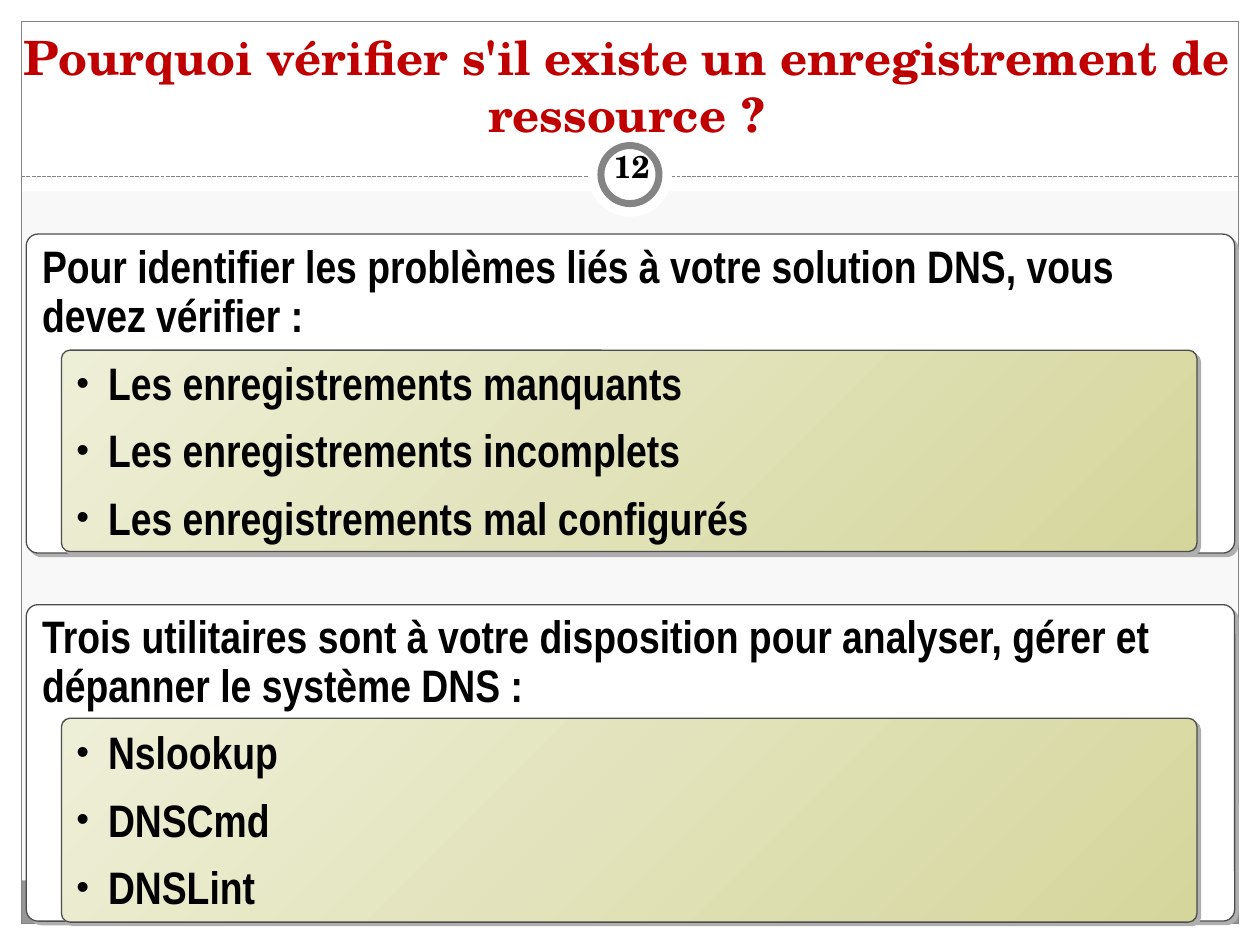
from lxml import etree
from pptx import Presentation
from pptx.dml.color import RGBColor
from pptx.enum.dml import MSO_LINE
from pptx.enum.shapes import MSO_CONNECTOR, MSO_SHAPE
from pptx.enum.text import MSO_ANCHOR, PP_ALIGN
from pptx.oxml.ns import qn
from pptx.util import Cm, Pt

RECT, ROUND, OVAL = MSO_SHAPE.RECTANGLE, MSO_SHAPE.ROUNDED_RECTANGLE, MSO_SHAPE.OVAL
LEFT, CENTER = PP_ALIGN.LEFT, PP_ALIGN.CENTER
TOP, MIDDLE, BOTTOM = MSO_ANCHOR.TOP, MSO_ANCHOR.MIDDLE, MSO_ANCHOR.BOTTOM
STRAIGHT, DASH = MSO_CONNECTOR.STRAIGHT, MSO_LINE.SQUARE_DOT

WIDE, HIGH = 25.4, 19.05
EDGE = 0.43
INNER = WIDE - 2 * EDGE
SERIF, SANS = "TeX Gyre Schola", "Arial Narrow"
WHITE, GRAY, DARK = "FFFFFF", "848484", "4D4D4D"

# Card top and height, list top and height, heading, list items
CARDS = [
    (4.72, 6.43, 7.06, 4.06,
     "Pour identifier les problèmes liés à votre solution DNS, vous devez vérifier :",
     ["Les enregistrements manquants", "Les enregistrements incomplets",
      "Les enregistrements mal configurés"]),
    (12.19, 6.38, 14.48, 4.11,
     "Trois utilitaires sont à votre disposition pour analyser, gérer et "
     "dépanner le système DNS :",
     ["Nslookup", "DNSCmd", "DNSLint"]),
]


def color(code):
    return RGBColor.from_string(code)


def box(slide, kind, x, y, w, h, fill=None, line=None, width=0.75):
    shape = slide.shapes.add_shape(kind, Cm(x), Cm(y), Cm(w), Cm(h))
    shape.shadow.inherit = False
    if fill:
        shape.fill.solid()
        shape.fill.fore_color.rgb = color(fill)
    else:
        shape.fill.background()
    if line:
        shape.line.color.rgb = color(line)
        shape.line.width = Pt(width)
    else:
        shape.line.fill.background()
    return shape


def bullet(para):
    props = para._p.get_or_add_pPr()
    props.set("marL", str(Cm(0.64)))
    props.set("indent", str(-Cm(0.64)))
    etree.SubElement(props, qn("a:buSzPct"), val="80000")
    etree.SubElement(props, qn("a:buFont"), typeface="Arial")
    etree.SubElement(props, qn("a:buChar"), char="•")


def write(shape, lines, font=SANS, size=26, ink="000000", align=LEFT,
          anchor=TOP, space=None, gap=0, dots=False, wrap=True):
    frame = shape.text_frame
    frame.word_wrap = wrap
    frame.vertical_anchor = anchor
    for i, line in enumerate(lines):
        para = frame.add_paragraph() if i else frame.paragraphs[0]
        para.alignment = align
        para.line_spacing = space
        para.space_before = Pt(gap if i else 0)
        if dots:
            bullet(para)
        run = para.add_run()
        run.text = line
        run.font.name = font
        run.font.size = Pt(size)
        run.font.bold = True
        run.font.color.rgb = color(ink)


def shade(shape):
    effects = shape._element.spPr.find(qn("a:effectLst"))
    outer = etree.SubElement(effects, qn("a:outerShdw"), blurRad="0",
                             dist=str(Pt(2.8)), dir="2700000", algn="ctr",
                             rotWithShape="0")
    etree.SubElement(outer, qn("a:srgbClr"), val="AFAFAF")


def panel(slide, x, y, w, h, bend):
    shape = box(slide, ROUND, x, y, w, h, WHITE, DARK)
    shape.adjustments[0] = bend
    shade(shape)
    return shape


def card(slide, top, high, start, tall, head, items):
    write(panel(slide, 0.53, top, 24.36, high, 0.037), [head], space=0.9)
    inner = panel(slide, 1.24, start, 22.89, tall, 0.042)
    inner.fill.gradient()
    inner.fill.gradient_angle = 315
    for stop, code in zip(inner.fill.gradient_stops, ("EEEFD7", "D5D69C")):
        stop.color.rgb = color(code)
    inner.text_frame.margin_top = Cm(0.25)
    write(inner, items, anchor=MIDDLE, space=0.85, gap=12, dots=True)


def border(slide):
    # White margins, grey foot and thin outline
    low = 18.62
    box(slide, RECT, 0, low, WIDE, EDGE, WHITE)
    box(slide, RECT, 0, 0, WIDE, 3.86, WHITE)
    for x in (0, WIDE - EDGE):
        box(slide, RECT, x, 0, EDGE, HIGH, WHITE)
    box(slide, RECT, EDGE, 17.75, INNER, 0.86, "969696")
    box(slide, RECT, EDGE, EDGE, INNER, low - EDGE, line=GRAY)

    # Dashed rule under the title
    rule = slide.shapes.add_connector(STRAIGHT, Cm(EDGE), Cm(3.56),
                                      Cm(WIDE - EDGE), Cm(3.56))
    rule.line.color.rgb = color(GRAY)
    rule.line.width = Pt(0.75)
    rule.line.dash_style = DASH
    etree.SubElement(rule._element.spPr, qn("a:effectLst"))

    # Ring for the page number
    for size, line in ((1.7, None), (1.17, GRAY)):
        box(slide, OVAL, WIDE / 2 - size / 2, 3.52 - size / 2, size, size,
            WHITE, line, 4)


def heading(slide, text):
    title = slide.shapes.title
    title.left, title.top = Cm(0.15), Cm(0.48)
    title.width, title.height = Cm(24.97), Cm(2.51)
    write(title, [text], font=SERIF, size=27, ink="C00000", align=CENTER,
          anchor=BOTTOM)
    # Bring the title in front of the white band
    slide.shapes._spTree.append(title._element)


def main():
    deck = Presentation()
    deck.slide_width, deck.slide_height = Cm(WIDE), Cm(HIGH)
    slide = deck.slides.add_slide(deck.slide_layouts[5])
    slide.background.fill.solid()
    slide.background.fill.fore_color.rgb = color("F8F8F8")

    border(slide)
    heading(slide, "Pourquoi vérifier s'il existe un enregistrement de ressource\u00a0?")
    for data in CARDS:
        card(slide, *data)

    # Page number
    page = slide.shapes.add_textbox(Cm(12.12), Cm(2.84), Cm(1.27), Cm(1.22))
    write(page, ["12"], font=SERIF, size=18, wrap=False)
    deck.save("out.pptx")


if __name__ == "__main__":
    main()
